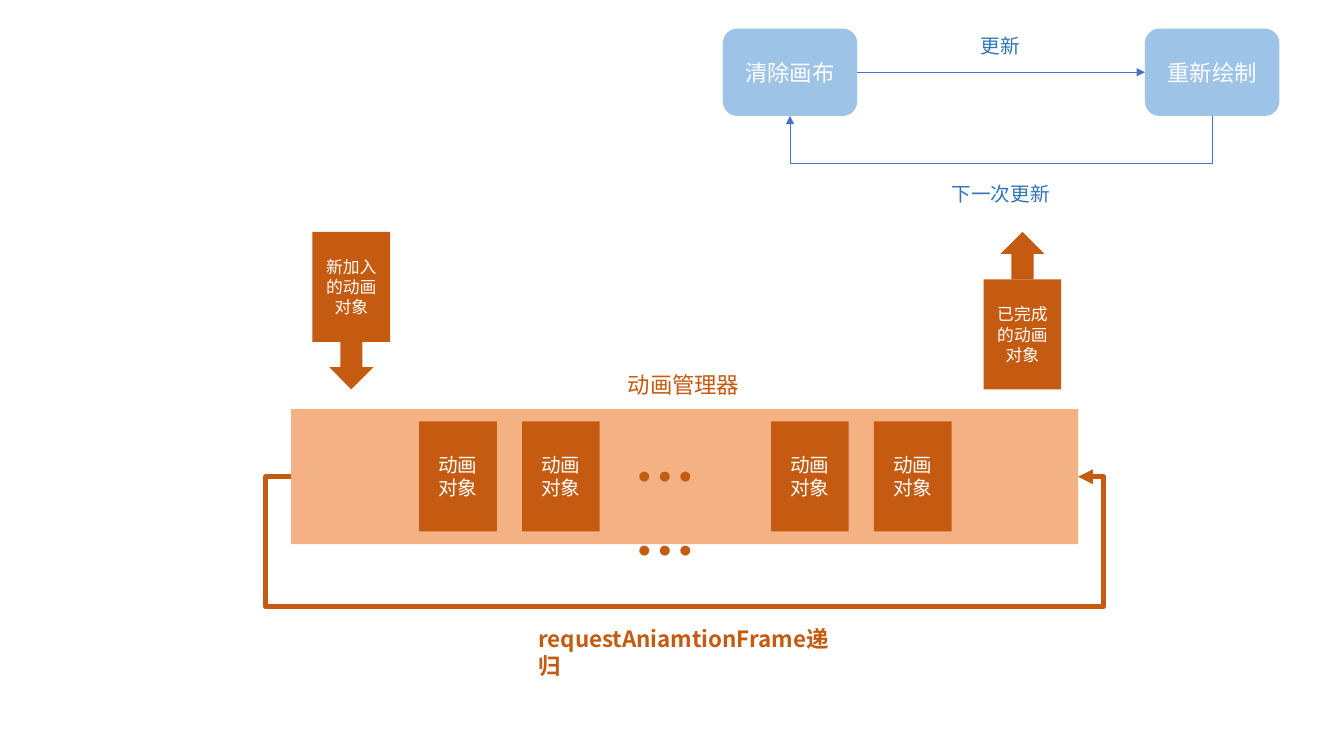
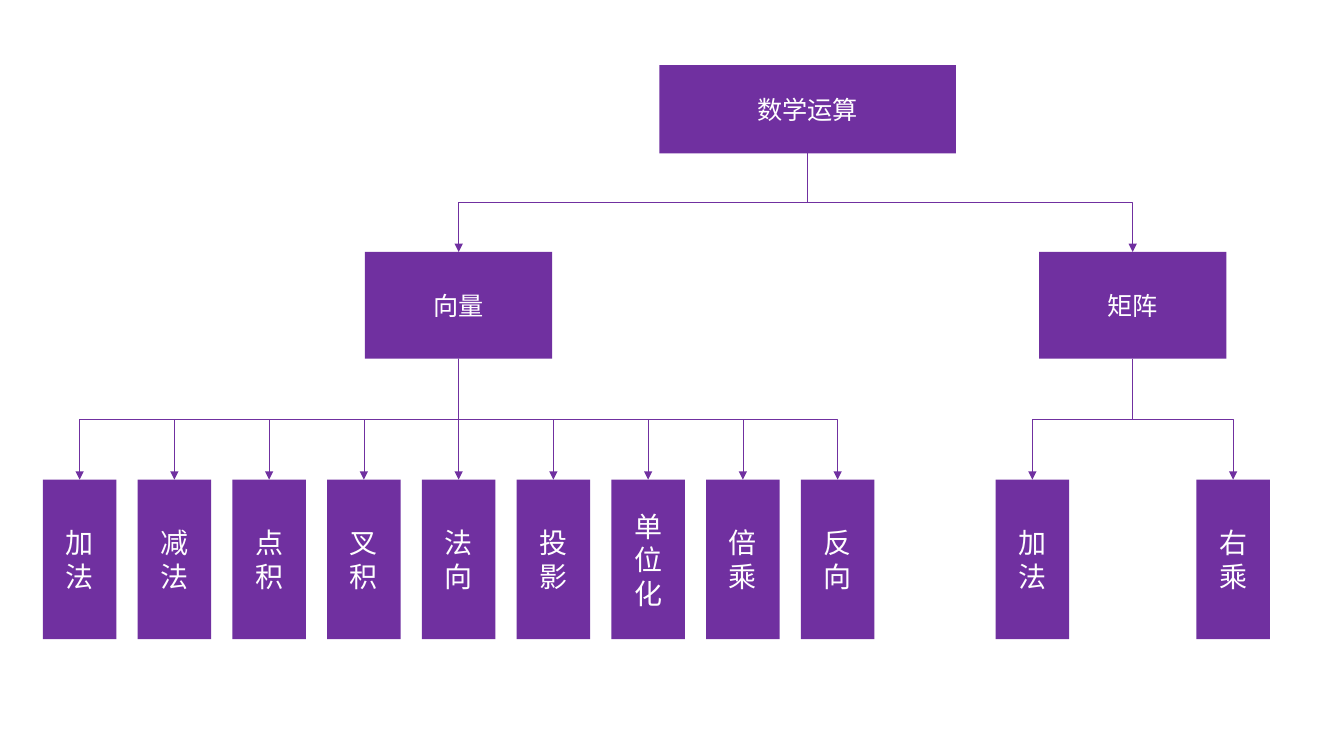
from dataclasses import dataclass

from lxml import etree
from pptx import Presentation
from pptx import util as u
from pptx.dml.color import RGBColor
from pptx.enum import shapes, text
from pptx.oxml.ns import qn

# Grid: 160 columns by 90 rows of square cells
COLS, ROWS = 160, 90
CELL = u.Inches(7.5) / ROWS
TOP, LEFT, BOTTOM, RIGHT = range(4)
KIND = shapes.MSO_SHAPE


@dataclass(frozen=True)
class Theme:
    font: str = "Noto Sans CJK SC"
    white: str = "FFFFFF"
    sky: str = "9DC3E6"
    blue: str = "2E75B6"
    wire: str = "4472C4"
    rust: str = "C55A11"
    peach: str = "F4B183"
    plum: str = "7030A0"
    tiny: int = 12
    small: int = 14
    base: int = 16
    node: int = 18
    leaf: int = 20
    dots: int = 44
    thin: float = 0.5
    thick: float = 3.5


T = Theme()


def cells(*nums):
    """Turn grid counts into lengths."""
    return [u.Emu(round(n * CELL)) for n in nums]


# Text and filled shapes
def write(shape, words, size, color, bold=None, align=None):
    para = shape.text_frame.paragraphs[0]
    para.text = words
    para.alignment = align
    font = para.font
    font.size, font.bold, font.name = u.Pt(size), bold, T.font
    font.color.rgb = RGBColor.from_string(color)
    props = para._p.pPr.find(qn("a:defRPr"))
    latin = props.find(qn("a:latin"))
    east = etree.Element(qn("a:ea"), typeface=T.font)
    latin.addnext(east)


def box(slide, at, fill, words="", size=T.small, kind=KIND.RECTANGLE):
    shape = slide.shapes.add_shape(kind, *cells(*at))
    shape.shadow.inherit = False
    shape.fill.solid()
    shape.fill.fore_color.rgb = RGBColor.from_string(fill)
    shape.line.fill.background()
    if words:
        write(shape, words, size, T.white, align=text.PP_ALIGN.CENTER)
    return shape


def label(slide, at, words, size, color, bold=None, wrap=False):
    shape = slide.shapes.add_textbox(*cells(*at))
    shape.text_frame.word_wrap = wrap
    write(shape, words, size, color, bold)


# Lines and arrows
def style(line, color, width):
    line.line.color.rgb = RGBColor.from_string(color)
    line.line.width = u.Pt(width)
    props = line._element.spPr
    etree.SubElement(props.find(qn("a:ln")), qn("a:tailEnd"), type="triangle")
    if props.find(qn("a:effectLst")) is None:
        etree.SubElement(props, qn("a:effectLst"))


def link(slide, start, side, end, goal, kind=shapes.MSO_CONNECTOR.STRAIGHT):
    line = slide.shapes.add_connector(kind, 0, 0, 0, 0)
    line.begin_connect(start, side)
    line.end_connect(end, goal)
    return line


def branch(slide, start, end):
    """Arrow from the bottom of one box to the top of a lower one."""
    x1, y1 = start.left + start.width // 2, start.top + start.height
    x2, y2 = end.left + end.width // 2, end.top
    dx, dy = x2 - x1, y2 - y1
    if abs(dx) < CELL / 10:
        line = link(slide, start, BOTTOM, end, TOP)
    else:
        # An elbow that leaves downwards is a level one, turned
        line = link(slide, start, BOTTOM, end, TOP, shapes.MSO_CONNECTOR.ELBOW)
        turn = 1 if dx < 0 else -1
        midx, midy = (x1 + x2) // 2, (y1 + y2) // 2
        halfx, halfy = turn * dy // 2, turn * dx // 2
        line.begin_x, line.begin_y = midx - halfx, midy + halfy
        line.end_x, line.end_y = midx + halfx, midy - halfy
        line.rotation = 90 * turn % 360
    style(line, T.plum, T.thin)


def route(slide, points, color, width):
    """Arrow along several corners."""
    first, *rest = [cells(*point) for point in points]
    build = slide.shapes.build_freeform(*first)
    build.add_line_segments(rest, close=False)
    line = build.convert_to_shape()
    line.shadow.inherit = False
    line.fill.background()
    style(line, color, width)


# Slide parts
def canvas(slide):
    """Clear and redraw cycle."""
    wide, high, top = 16, 10.4, 3.4
    left, right = 86.05, 136.3
    clear, draw = [
        box(slide, (x, top, wide, high), T.sky, words, T.base,
            KIND.ROUNDED_RECTANGLE)
        for x, words in ((left, "清除画布"), (right, "重新绘制"))]
    style(link(slide, clear, RIGHT, draw, LEFT), T.wire, T.thin)
    base, low = top + high, 19.45
    here, there = right + wide / 2, left + wide / 2
    route(slide, [(here, base), (here, low), (there, low), (there, base)],
          T.wire, T.thin)
    label(slide, (112.1, 21.1, 14.2, 4.1), "下一次更新", T.small, T.blue)
    label(slide, (115.6, 3.4, 7.1, 4.1), "更新", T.small, T.blue)


def manager(slide):
    """Queue of animation objects with its loop."""
    left, top, wide, high = 34.65, 48.7, 93.7, 16.1
    item, tall, step = 9.25, 13.1, 12.25
    box(slide, (left, top, wide, high), T.peach)
    for start in (49.9, 91.8):
        for i in range(2):
            box(slide, (start + i * step, 50.15, item, tall), T.rust, "动画对象")
    label(slide, (74.4, 51.7, 14.5, 10.1), "……", T.dots, T.rust, True, True)

    # Objects that enter and leave
    head, neck, upper = 5.25, 5.65, 27.6
    inset = (item - head) / 2
    for x, words, kind, y, tip in (
            (37.2, "新加入的动画对象", KIND.DOWN_ARROW, upper, upper + tall),
            (117.1, "已完成的动画对象", KIND.UP_ARROW, upper + neck, upper)):
        box(slide, (x, y, item, tall), T.rust, words, T.tiny)
        box(slide, (x + inset, tip, head, neck), T.rust, kind=kind)

    # Recursion loop
    mid, low, gap = top + high / 2, 72.25, 3
    right = left + wide
    route(slide, [(left, mid), (left - gap, mid), (left - gap, low),
                  (right + gap, low), (right + gap, mid), (right, mid)],
          T.rust, T.thick)
    label(slide, (62.9, 73.8, 37.2, 4.4), "requestAniamtionFrame递归",
          T.base, T.rust, True, True)
    label(slide, (73.55, 43.55, 15.85, 4.4), "动画管理器", T.base, T.rust)


def tree(slide):
    """Operations by type, each row of leaves centred on its parent."""
    def node(mid, top, wide, high, words, size=T.node):
        at = (mid - wide / 2, top, wide, high)
        return box(slide, at, T.plum, words, size)

    root = node(96.15, 7.75, 35.3, 10.5, "数学运算")
    groups = (
        (54.6, 11.28, "向量", ("加法", "减法", "点积", "叉积", "法向",
                              "投影", "单位化", "倍乘", "反向")),
        (134.85, 23.9, "矩阵", ("加法", "右乘")),
    )
    for mid, step, name, leaves in groups:
        group = node(mid, 30, 22.3, 12.7, name)
        branch(slide, root, group)
        for i, words in enumerate(leaves):
            shift = (i - (len(leaves) - 1) / 2) * step
            leaf = node(mid + shift, 57.1, 8.75, 19, words, T.leaf)
            branch(slide, group, leaf)


def main():
    deck = Presentation()
    deck.slide_width, deck.slide_height = cells(COLS, ROWS)
    blank = deck.slide_layouts[6]
    for parts in ((canvas, manager), (tree,)):
        slide = deck.slides.add_slide(blank)
        for part in parts:
            part(slide)
    deck.save("out.pptx")


if __name__ == "__main__":
    main()
